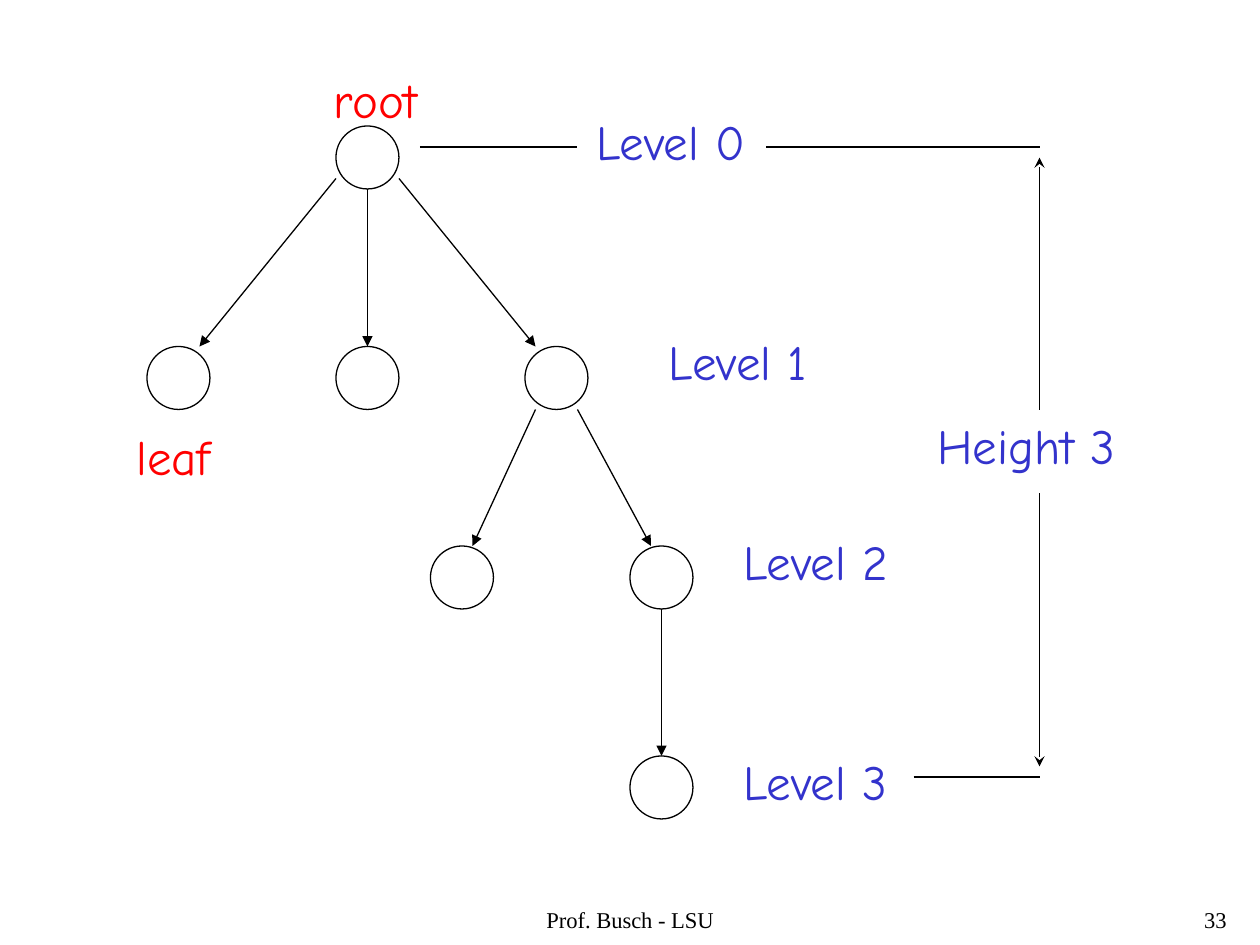
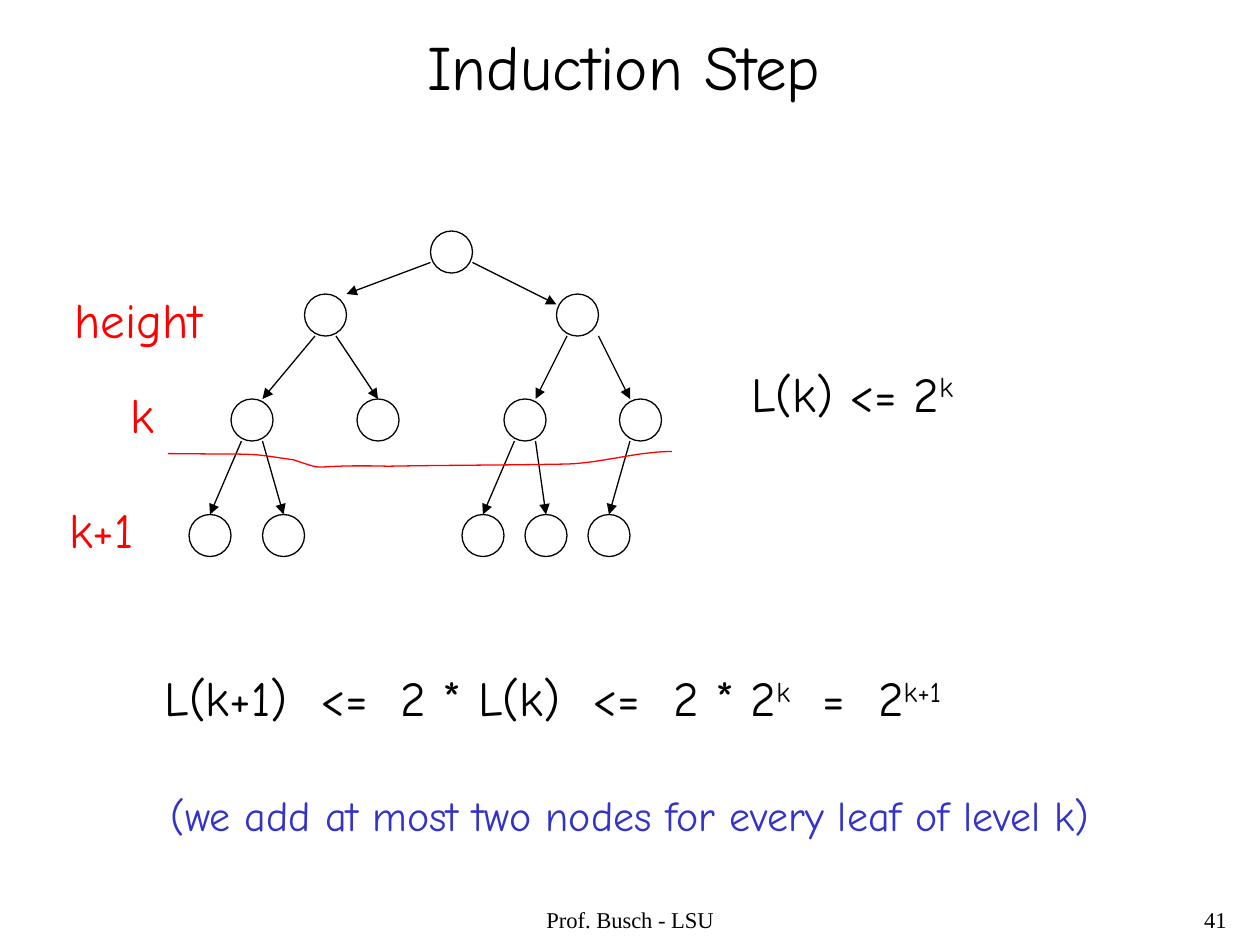
from lxml.etree import SubElement
from pptx import Presentation
from pptx.dml.color import RGBColor
from pptx.enum.shapes import MSO_CONNECTOR as CONNECTOR, MSO_SHAPE as SHAPE
from pptx.enum.text import MSO_ANCHOR as ANCHOR, MSO_AUTO_SIZE as AUTO_SIZE, PP_ALIGN as ALIGN
from pptx.oxml.ns import qn
from pptx.util import Inches, Pt

COLORS = {"ink": "000000", "term": "FF0000", "level": "3333CC"}
HAND, SERIF = "Comic Neue", "Times New Roman"
COLUMNS, ROWS = 120, 90
CELL = Inches(10) // COLUMNS


def cells(*counts):
    return [round(count * CELL) for count in counts]


def style_line(line, color="ink"):
    line.color.rgb = RGBColor.from_string(COLORS[color])
    line.width = Pt(0.75)


def write(frame, text, size=28, font=HAND, color="ink", align=ALIGN.LEFT,
          wrap=False, spacing=None):
    frame.word_wrap = wrap
    frame.auto_size = AUTO_SIZE.NONE
    frame.vertical_anchor = ANCHOR.TOP
    paragraph = frame.paragraphs[0]
    paragraph.alignment = align
    if spacing:
        paragraph.line_spacing = spacing
    parts = [text] if isinstance(text, str) else text
    for index, part in enumerate(parts):
        run = paragraph.add_run()
        run.text = part
        run.font.size = Pt(size)
        run.font.name = font
        run.font.color.rgb = RGBColor.from_string(COLORS[color])
        if index % 2:
            run.font._element.set("baseline", "30000")


def add_label(slide, text, left, top, width, height=6.8, **style):
    box = slide.shapes.add_textbox(*cells(left, top, width, height))
    write(box.text_frame, text, **style)


def add_title(slide, text, left, top, width, height):
    title = slide.shapes.title
    title.left, title.top, title.width, title.height = cells(left, top, width, height)
    write(title.text_frame, text, size=36, align=ALIGN.CENTER)


def add_footer(slide, number):
    style = dict(size=12.9, font=SERIF, wrap=True, spacing=0.9)
    add_label(slide, "Prof. Busch - LSU", 41, 86, 38, 4, align=ALIGN.CENTER, **style)
    add_label(slide, number, 93, 86, 25, 4, align=ALIGN.RIGHT, **style)


def add_nodes(slide, levels, diameter):
    for top, lefts in levels.items():
        for left in lefts:
            node = slide.shapes.add_shape(SHAPE.OVAL, *cells(left, top, diameter, diameter))
            node.shadow.inherit = False
            node.fill.background()
            style_line(node.line)


def add_lines(slide, ends, arrow=None):
    for end in ends:
        connector = slide.shapes.add_connector(CONNECTOR.STRAIGHT, *cells(*end))
        style_line(connector.line)
        if arrow:
            SubElement(connector.line._get_or_add_ln(), qn("a:tailEnd"), type=arrow)
        SubElement(connector._element.spPr, qn("a:effectLst"))


def add_curve(slide, start, bends, color, steps=16):
    points, origin = [], start
    for bend in bends:
        controls = [origin, *bend]
        for step in range(1, steps + 1):
            t = step / steps
            weights = ((1 - t) ** 3, 3 * t * (1 - t) ** 2, 3 * t * t * (1 - t), t ** 3)
            points.append(cells(*(sum(w * c[axis] for w, c in zip(weights, controls))
                                  for axis in (0, 1))))
        origin = bend[-1]
    builder = slide.shapes.build_freeform(*cells(*start))
    builder.add_line_segments(points, close=False)
    curve = builder.convert_to_shape()
    curve.shadow.inherit = False
    curve.fill.background()
    style_line(curve.line, color)


def build_levels(slide):
    add_footer(slide, "33")
    add_nodes(slide, {12: [32], 33: [14, 32, 50], 52: [41, 60], 72: [60]}, 6)
    add_lines(slide, [(32, 17, 19, 33), (35, 18, 35, 33), (38, 17, 51, 33),
                      (51, 39, 45, 52), (55, 39, 62, 52), (63, 58, 63, 72)], "triangle")
    add_label(slide, "root", 30.6, 6, 10.4, color="term")
    add_label(slide, "leaf", 11.8, 40, 9.5, color="term")
    level_places = [(55.6, 10, 16.7), (62.5, 31, 15.7), (69.6, 50, 16.3), (69.6, 71, 16.2)]
    for level, place in enumerate(level_places):
        add_label(slide, f"Level {level}", *place, color="level")
    add_lines(slide, [(40, 14, 55, 14), (73, 14, 99, 14), (87, 74, 99, 74)])
    add_lines(slide, [(99, 39, 99, 15), (99, 47, 99, 73)], "stealth")
    add_label(slide, "Height 3", 88.1, 39, 19.3, color="level")


def build_induction(slide):
    add_title(slide, "Induction Step", 39.4, 2, 40, 8.4)
    add_footer(slide, "41")
    add_label(slide, ["L(k) <= 2", "k"], 70.4, 34, 21.6)
    add_label(slide, ["L(k+1)  <=  2 * L(k)  <=  2 * 2", "k", "  =  2", "k+1"],
              14.5, 63, 76.3)
    add_label(slide, "height", 5.9, 27, 14.5, color="term")
    add_label(slide, "k", 11.2, 36, 4.7, color="term")
    add_label(slide, "k+1", 5.4, 47, 8.5, color="term")
    add_nodes(slide, {22: [41], 28: [29, 53], 38: [22, 34, 48, 59],
                      49: [18, 25, 44, 50, 56]}, 4)
    add_lines(slide, [(41, 25, 33, 28), (45, 25, 53, 29),
                      (30, 32, 25, 38), (32, 32, 36, 38),
                      (54, 32, 51, 38), (57, 32, 60, 38),
                      (23, 42, 20, 49), (25, 42, 27, 49),
                      (49, 42, 46, 49), (51, 42, 52, 49), (60, 42, 58, 49)], "triangle")
    add_curve(slide, (16, 43.2), [
        [(25.4, 43.3), (23.2, 43.1), (28, 43.8)],
        [(31.6, 45), (28.7, 44.2), (37, 44.4)],
        [(42.5, 44.3), (48, 44.3), (53.5, 44.2)],
        [(57, 44.2), (60.5, 43), (64, 43)]], "term")
    add_label(slide, "(we add at most two nodes for every leaf of level k)",
              15.1, 74.6, 90.2, 6, size=24, color="level")


def main():
    deck = Presentation()
    deck.slide_width, deck.slide_height = cells(COLUMNS, ROWS)
    title_only, blank = deck.slide_layouts[5], deck.slide_layouts[6]
    build_levels(deck.slides.add_slide(blank))
    build_induction(deck.slides.add_slide(title_only))
    deck.save("out.pptx")


if __name__ == "__main__":
    main()
